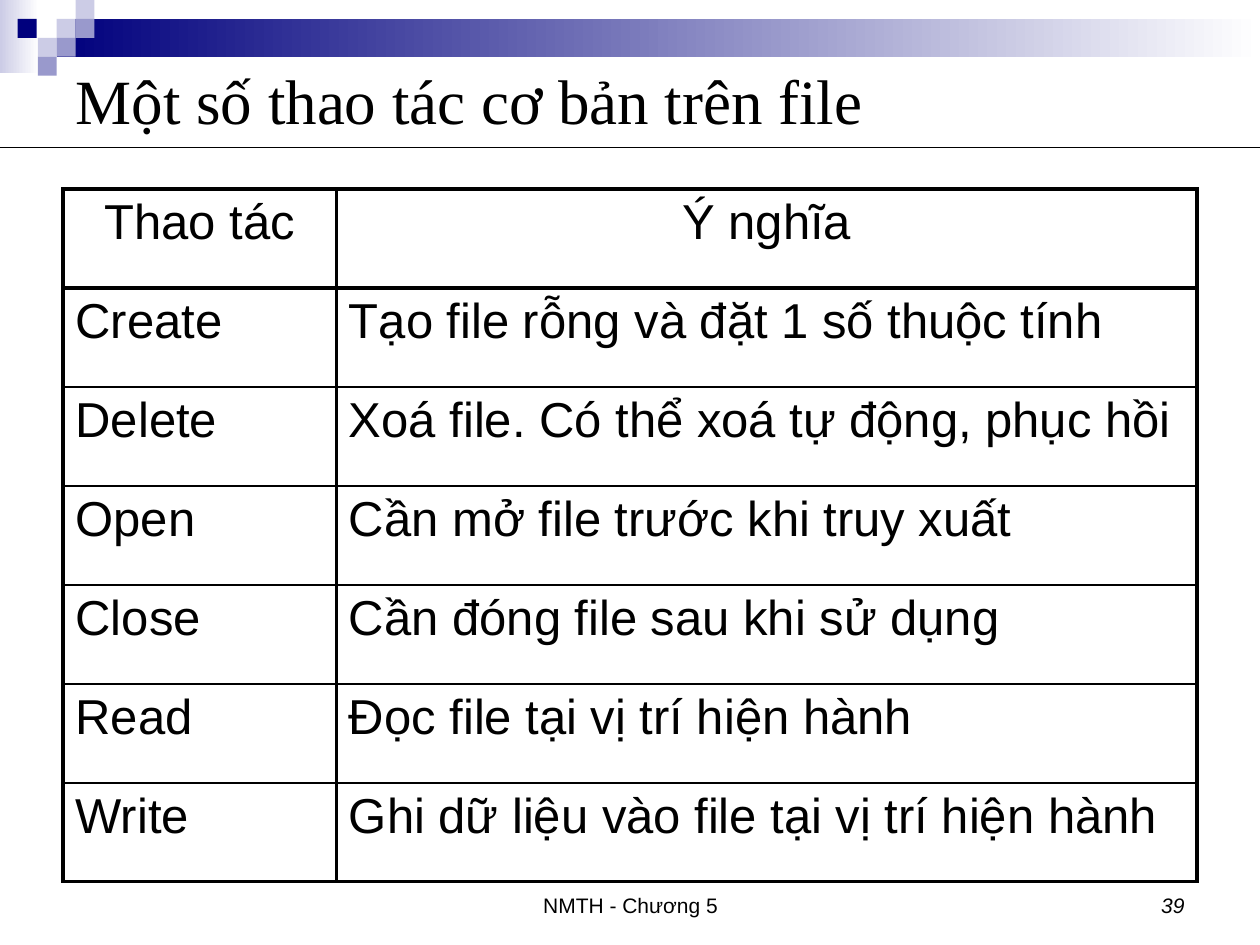
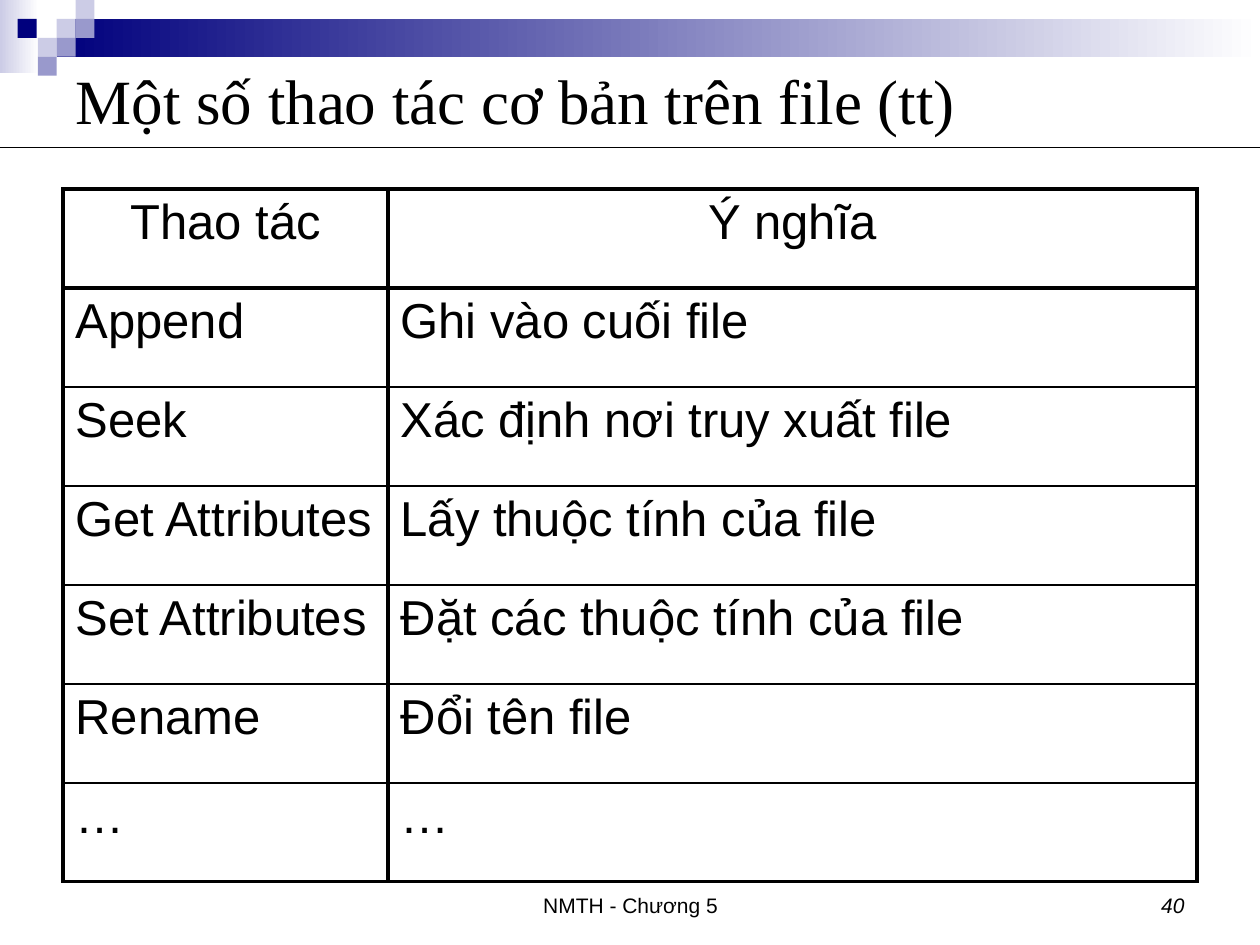
from lxml.etree import SubElement
from pptx import Presentation
from pptx.dml.color import RGBColor
from pptx.enum.shapes import MSO_CONNECTOR, MSO_SHAPE
from pptx.enum.text import MSO_ANCHOR, MSO_AUTO_SIZE, PP_ALIGN
from pptx.oxml.ns import qn
from pptx.util import Inches, Pt

BLACK, NAVY, LILAC, VIOLET, WHITE = "000000", "00007D", "CCCCE6", "9999CC", "FFFFFF"
BODY_FONT, TITLE_FONT = "Arial", "Times New Roman"
TITLE_ONLY = 5
THICK, THIN = 2.25, 1
SQUARE = 0.15
FOOTER = "NMTH - Chương 5"

GRADIENT_BANDS = [
    (0, 0, 0.31, 0.58, LILAC),
    (0.45, 0.15, 9.55, 0.3, NAVY),
]
SQUARES = [
    (0.45, 0.15, LILAC),
    (0.6, 0, LILAC),
    (0.6, 0.15, VIOLET),
    (0.3, 0.3, LILAC),
    (0.14, 0.15, NAVY),
    (0.45, 0.3, VIOLET),
    (0.3, 0.45, VIOLET),
]

HEADINGS = ("Thao tác", "Ý nghĩa")
OPERATION_SLIDES = [
    ("Một số thao tác cơ bản trên file", 39, 2.17, [
        ("Create", "Tạo file rỗng và đặt 1 số thuộc tính"),
        ("Delete", "Xoá file. Có thể xoá tự động, phục hồi"),
        ("Open", "Cần mở file trước khi truy xuất"),
        ("Close", "Cần đóng file sau khi sử dụng"),
        ("Read", "Đọc file tại vị trí hiện hành"),
        ("Write", "Ghi dữ liệu vào file tại vị trí hiện hành"),
    ]),
    ("Một số thao tác cơ bản trên file (tt)", 40, 2.58, [
        ("Append", "Ghi vào cuối file"),
        ("Seek", "Xác định nơi truy xuất file"),
        ("Get Attributes", "Lấy thuộc tính của file"),
        ("Set Attributes", "Đặt các thuộc tính của file"),
        ("Rename", "Đổi tên file"),
        ("…", "…"),
    ]),
]


def color(value):
    return RGBColor.from_string(value)


class Deck:
    """Holds the shared style and the slide being built."""

    def __init__(self):
        self.presentation = Presentation()
        self.presentation.slide_width = Inches(10)
        self.presentation.slide_height = Inches(7.5)
        self.slide = None

    def add_slide(self, title, number):
        layout = self.presentation.slide_layouts[TITLE_ONLY]
        self.slide = self.presentation.slides.add_slide(layout)
        for left, top, width, height, start in GRADIENT_BANDS:
            self.rectangle(left, top, width, height, start, WHITE)
        for left, top, fill in SQUARES:
            self.rectangle(left, top, SQUARE, SQUARE, fill)
        self.title(title)
        self.rule(1.17)
        self.footer(3.42, 3.17, FOOTER, PP_ALIGN.CENTER)
        self.footer(7.17, 2.33, str(number), PP_ALIGN.RIGHT, italic=True)

    def rectangle(self, left, top, width, height, fill, fade_to=None):
        shape = self.slide.shapes.add_shape(
            MSO_SHAPE.RECTANGLE, Inches(left), Inches(top), Inches(width), Inches(height))
        shape.shadow.inherit = False
        shape.line.fill.background()
        if fade_to:
            shape.fill.gradient()
            shape.fill.gradient_angle = 0
            for stop, position, value in zip(shape.fill.gradient_stops, (0, 1), (fill, fade_to)):
                stop.position = position
                stop.color.rgb = color(value)
        else:
            shape.fill.solid()
            shape.fill.fore_color.rgb = color(fill)

    def text(self, frame, content, size, alignment, font=BODY_FONT, italic=False):
        paragraph = frame.paragraphs[0]
        paragraph.alignment = alignment
        run = paragraph.add_run()
        run.text = content
        run.font.name = font
        run.font.size = Pt(size)
        run.font.italic = italic
        run.font.color.rgb = color(BLACK)

    def title(self, content):
        shape = self.slide.shapes.title
        shape.left, shape.top = Inches(0.5), Inches(0.5)
        shape.width, shape.height = Inches(9), Inches(0.58)
        frame = shape.text_frame
        frame.auto_size = MSO_AUTO_SIZE.NONE
        frame.vertical_anchor = MSO_ANCHOR.MIDDLE
        self.text(frame, content, 36, PP_ALIGN.LEFT, TITLE_FONT)

    def rule(self, top):
        line = self.slide.shapes.add_connector(
            MSO_CONNECTOR.STRAIGHT, 0, Inches(top), self.presentation.slide_width, Inches(top))
        line.line.color.rgb = color(BLACK)
        line.line.width = Pt(0.75)
        SubElement(line._element.spPr, qn("a:effectLst"))

    def footer(self, left, width, content, alignment, italic=False):
        box = self.slide.shapes.add_textbox(
            Inches(left), Inches(6.83), Inches(width), Inches(0.5))
        frame = box.text_frame
        frame.word_wrap = True
        frame.vertical_anchor = MSO_ANCHOR.BOTTOM
        self.text(frame, content, 12, alignment, italic=italic)

    def borders(self, cell, top, bottom):
        properties = cell._tc.get_or_add_tcPr()
        for side, width in (("L", THICK), ("R", THICK), ("T", top), ("B", bottom)):
            line = SubElement(properties, qn(f"a:ln{side}"), w=str(Pt(width)))
            fill = SubElement(line, qn("a:solidFill"))
            SubElement(fill, qn("a:srgbClr"), val=BLACK)

    def table(self, rows, first_width):
        width, height = 9, 5.5
        table = self.slide.shapes.add_table(
            len(rows), len(rows[0]), Inches(0.5), Inches(1.5),
            Inches(width), Inches(height)).table
        table.first_row = table.horz_banding = False
        table.columns[0].width = Inches(first_width)
        table.columns[1].width = Inches(width - first_width)
        last = len(rows) - 1
        for index, contents in enumerate(rows):
            table.rows[index].height = Inches(height / len(rows))
            top = THICK if index <= 1 else THIN
            bottom = THICK if index in (0, last) else THIN
            alignment = PP_ALIGN.LEFT if index else PP_ALIGN.CENTER
            for cell, content in zip(table.rows[index].cells, contents):
                self.borders(cell, top, bottom)
                cell.fill.background()
                self.text(cell.text_frame, content, 28, alignment)


def main():
    deck = Deck()
    for title, number, first_width, operations in OPERATION_SLIDES:
        deck.add_slide(title, number)
        deck.table([HEADINGS, *operations], first_width)
    deck.presentation.save("out.pptx")


if __name__ == "__main__":
    main()
